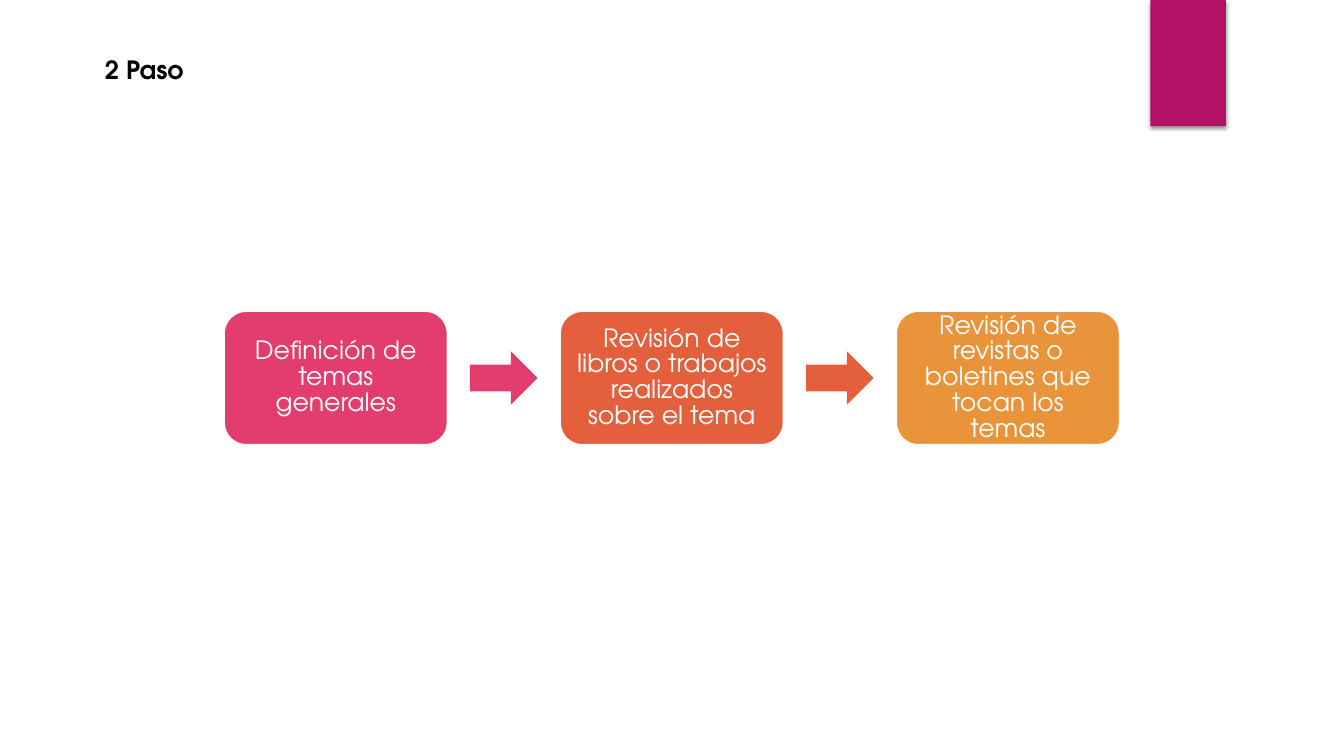
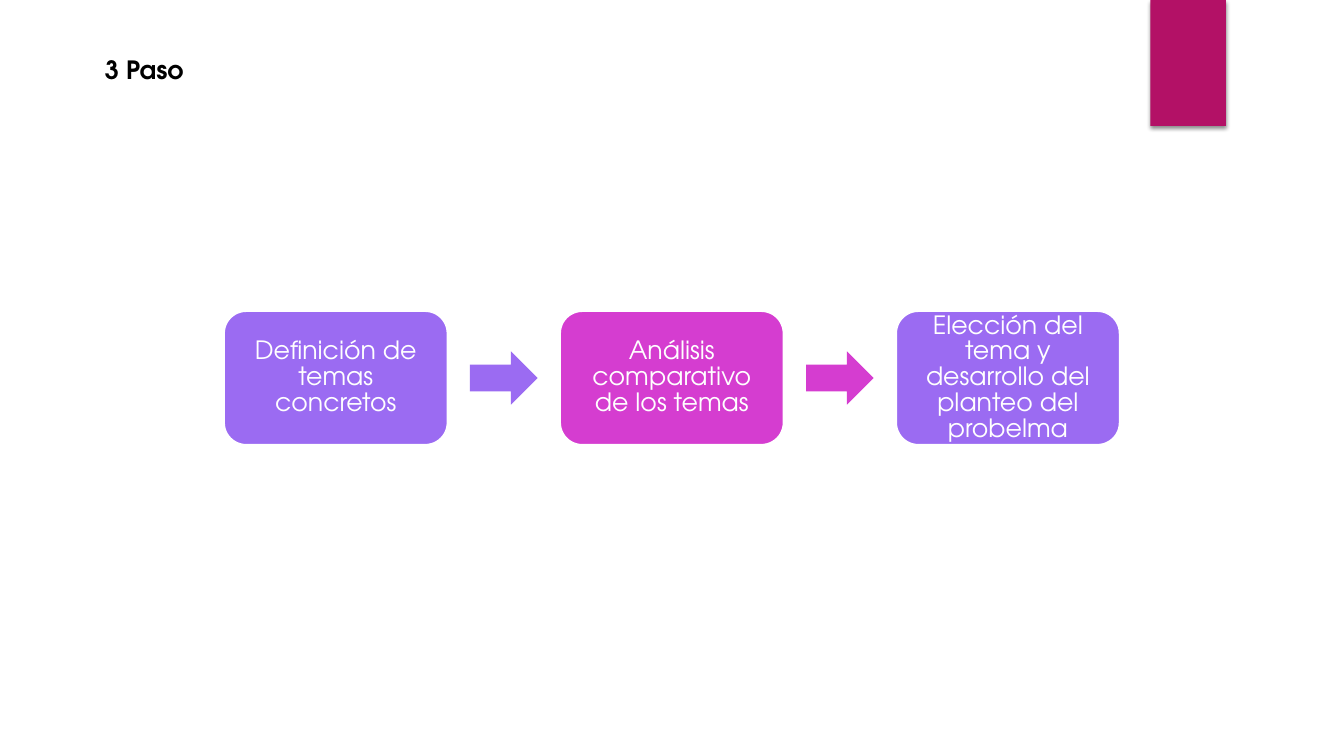
from dataclasses import dataclass

from lxml import etree
from pptx import Presentation
from pptx.dml.color import RGBColor
from pptx.enum.shapes import MSO_SHAPE
from pptx.enum.text import MSO_ANCHOR, MSO_AUTO_SIZE, PP_ALIGN
from pptx.oxml import parse_xml
from pptx.oxml.ns import nsdecls, qn
from pptx.util import Inches, Pt


@dataclass(frozen=True)
class Theme:
    font: str = "TeX Gyre Adventor"
    size: int = 18
    text: str = "000000"
    light: str = "FFFFFF"
    tab: str = "B31166"
    pink: str = "E33D6F"
    orange: str = "E45F3C"
    amber: str = "E9943A"
    violet: str = "9B6BF2"
    magenta: str = "D53DD0"


THEME = Theme()

# Flow geometry in inches
FLOW_LEFT, FLOW_MIDDLE, PITCH = 2.22, 3.75, 10 / 3
BOX_W, BOX_H = 2.22, 1.33
ARROW_W, ARROW_H = 0.67, 0.53

# Title and steps (text, colour) of each slide
SLIDES = [
    ("2 Paso", [
        ("Definición de temas generales", THEME.pink),
        ("Revisión de libros o trabajos realizados sobre el tema", THEME.orange),
        ("Revisión de revistas o boletines que tocan los temas", THEME.amber),
    ]),
    ("3 Paso", [
        ("Definición de temas concretos", THEME.violet),
        ("Análisis comparativo de los temas", THEME.magenta),
        ("Elección del tema y desarrollo del planteo del probelma", THEME.violet),
    ]),
]


def apply(target, formats):
    for name, value in formats.items():
        setattr(target, name, value)


class Deck:
    def __init__(self, theme):
        self.theme = theme
        self.prs = Presentation()
        apply(self.prs, {"slide_width": Inches(13.33), "slide_height": Inches(7.5)})
        self.s = None

    def new_slide(self, title):
        self.s = self.prs.slides.add_slide(self.prs.slide_layouts[5])
        self.tab()
        self.title(title)

    def label(self, sp, text, color, frame, para, bold=False):
        tf = sp.text_frame
        tf.text = text
        apply(tf, {"margin_left": Inches(0.1), "margin_right": Inches(0.1),
                   "margin_top": Inches(0.05), "margin_bottom": Inches(0.05),
                   **frame})
        p = tf.paragraphs[0]
        apply(p, para)
        r = p.runs[0]
        apply(r.font, {"name": self.theme.font, "size": Pt(self.theme.size),
                       "bold": bold})
        r.font.color.rgb = RGBColor.from_string(color)

    def title(self, text):
        sp = self.s.shapes.title
        apply(sp, {"left": Inches(0.94), "top": Inches(0.49),
                   "width": Inches(1.01), "height": Inches(0.4)})
        self.label(sp, text, self.theme.text,
                   {"word_wrap": False, "vertical_anchor": MSO_ANCHOR.TOP,
                    "auto_size": MSO_AUTO_SIZE.SHAPE_TO_FIT_TEXT},
                   {"alignment": PP_ALIGN.LEFT}, bold=True)

    def shape(self, kind, x, y, w, h, color):
        sp = self.s.shapes.add_shape(kind, Inches(x), Inches(y), Inches(w), Inches(h))
        sp.shadow.inherit = False
        sp.fill.solid()
        sp.fill.fore_color.rgb = RGBColor.from_string(color)
        sp.line.fill.background()
        return sp

    def tab(self):
        sp = self.shape(MSO_SHAPE.RECTANGLE, 11.41, 0, 0.75, 1.25, self.theme.tab)
        # Soft shadow below the tab
        effects = sp._element.spPr.find(qn("a:effectLst"))
        shadow = parse_xml(
            f'<a:outerShdw {nsdecls("a")} blurRad="{Pt(3)}" dist="{Pt(2)}" '
            'dir="5400000" rotWithShape="0"/>')
        color = etree.SubElement(shadow, qn("a:srgbClr"), val="000000")
        etree.SubElement(color, qn("a:alpha"), val="45000")
        effects.append(shadow)

    def box(self, x, text, color):
        sp = self.shape(MSO_SHAPE.ROUNDED_RECTANGLE, x, FLOW_MIDDLE - BOX_H / 2,
                        BOX_W, BOX_H, color)
        sp.line.color.rgb = RGBColor.from_string(self.theme.light)
        sp.line.width = Pt(1.5)
        self.label(sp, text, self.theme.light,
                   {"word_wrap": True, "vertical_anchor": MSO_ANCHOR.MIDDLE},
                   {"alignment": PP_ALIGN.CENTER, "line_spacing": 0.85})

    def arrow(self, x, color):
        self.shape(MSO_SHAPE.RIGHT_ARROW, x, FLOW_MIDDLE - ARROW_H / 2,
                   ARROW_W, ARROW_H, color)

    def flow(self, steps):
        gap = (PITCH - BOX_W - ARROW_W) / 2
        for i, (text, color) in enumerate(steps):
            x = FLOW_LEFT + i * PITCH
            self.box(x, text, color)
            if i < len(steps) - 1:
                self.arrow(x + BOX_W + gap, color)


def main():
    deck = Deck(THEME)
    for title, steps in SLIDES:
        deck.new_slide(title)
        deck.flow(steps)
    deck.prs.save("out.pptx")


if __name__ == "__main__":
    main()
